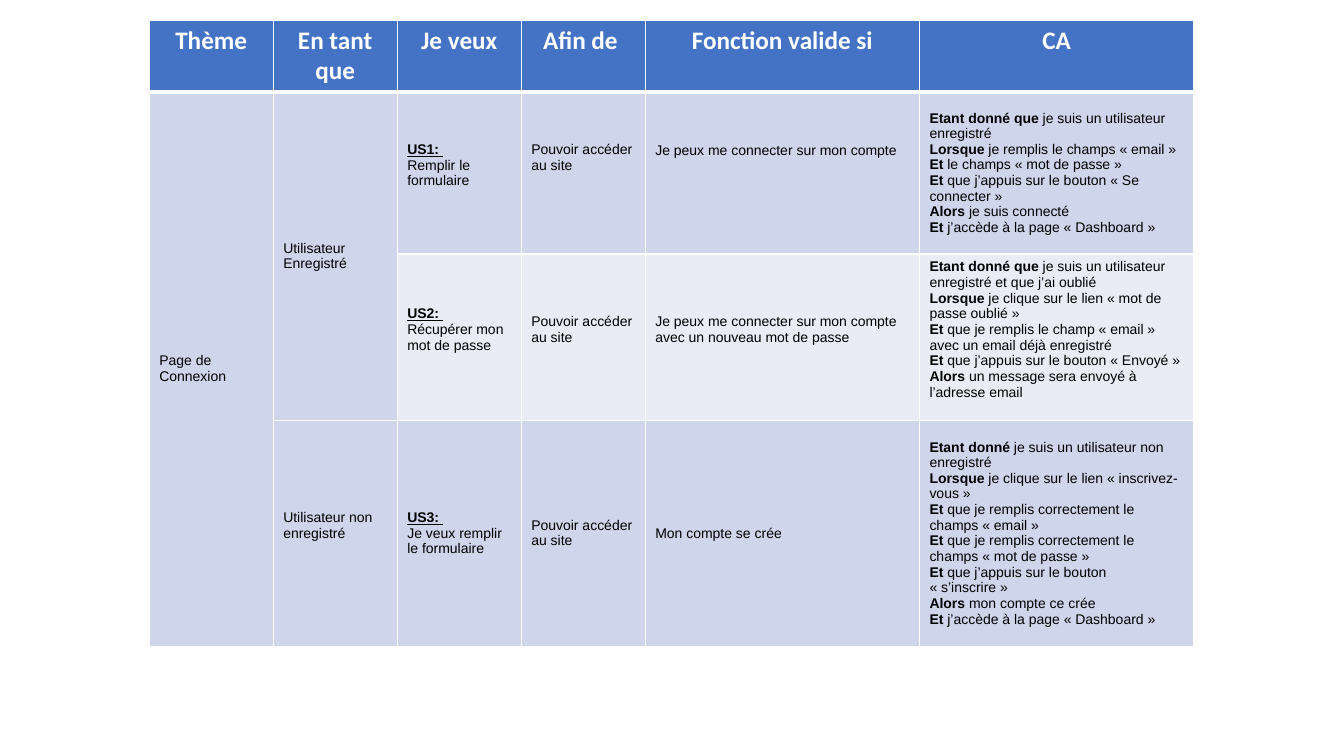
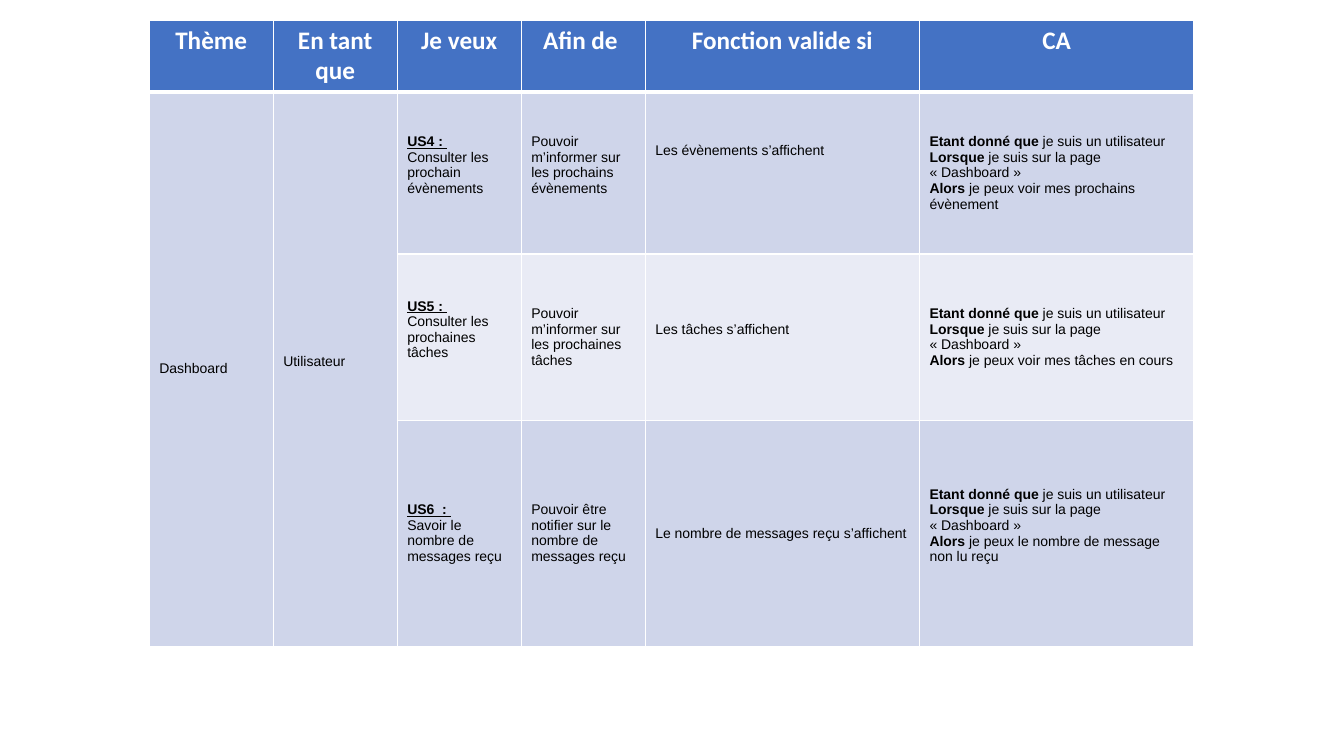
from typing import NamedTuple

from lxml.etree import SubElement
from pptx import Presentation
from pptx.dml.color import RGBColor
from pptx.enum.text import MSO_ANCHOR as Anchor, PP_ALIGN as Align
from pptx.oxml.ns import qn
from pptx.util import Inches, Pt

# Shared look
HEADER_FILL, BANDS, RULE = "4472C4", ("CFD5EA", "E9EBF5"), "FFFFFF"
HEADER_FONT = {"name": "Calibri", "size": Pt(18), "bold": True}
BODY_FONT = {"name": "Arial", "size": Pt(10), "bold": False}
LEAD_FONT = {**BODY_FONT, "bold": True}
STORY_FONT = {**LEAD_FONT, "underline": True}
TABLE_BOX = (1.48, 0.2, 10.37, 6.16)
COLUMN_WIDTHS = (1.23, 1.23, 1.23, 1.23, 2.72, 2.72)
ROW_HEIGHTS = (0.66, 1.61, 1.65, 2.24)
HEADERS = ("Thème", "En tant que", "Je veux", "Afin de ", "Fonction valide si", "CA")
STORY_COLUMN = 2
MARGIN, LINE_HEIGHT = 0.05, 0.15


class Entry(NamedTuple):
    """Cell text: one paragraph a line, with a bold lead before the bar."""
    text: str
    lift: int = 0  # lines kept free under the text
    span: int = 1  # rows covered


# Wording
ACCESS = "Pouvoir accéder au site"
ON_DASHBOARD = "Etant donné que |je suis un utilisateur\nLorsque |je suis sur la page « Dashboard »\n"

LOGIN_ROWS = [
    [Entry("Page de Connexion", span=3),
     Entry("Utilisateur\nEnregistré", span=2),
     Entry("US1: |Remplir le formulaire", 1),
     Entry(ACCESS, 2),
     Entry("Je peux me connecter sur mon compte", 3),
     Entry("Etant donné que |je suis un utilisateur enregistré\n"
           "Lorsque |je remplis le champs « email »\n"
           "Et| le champs « mot de passe »\n"
           "Et |que j’appuis sur le bouton « Se connecter »\n"
           "Alors |je suis connecté \n"
           "Et| j’accède à la page « Dashboard »")],
    [None, None,
     Entry("US2: |Récupérer mon mot de passe", 1),
     Entry(ACCESS, 1),
     Entry("Je peux me connecter sur mon compte avec un nouveau mot de passe", 1),
     Entry("Etant donné que |je suis un utilisateur enregistré et que j’ai oublié\n"
           "Lorsque |je clique sur le lien « mot de passe oublié »\n"
           "Et |que je remplis le champ « email » avec un email déjà enregistré\n"
           "Et |que j’appuis sur le bouton « Envoyé »\n"
           "Alors |un message sera envoyé à l’adresse email", 1)],
    [None,
     Entry("Utilisateur non enregistré", 1),
     Entry("US3: |Je veux remplir le formulaire"),
     Entry(ACCESS),
     Entry("Mon compte se crée"),
     Entry("Etant donné| je suis un utilisateur non enregistré \n"
           "Lorsque |je clique sur le lien « inscrivez-vous »\n"
           "Et| que je remplis correctement le champs « email »\n"
           "Et |que je remplis correctement le champs « mot de passe »\n"
           "Et| que j’appuis sur le bouton « s’inscrire »\n"
           "Alors |mon compte ce crée\n"
           "Et |j’accède à la page « Dashboard »")],
]

DASHBOARD_ROWS = [
    [Entry("Dashboard", span=3),
     Entry("Utilisateur", 1, span=3),
     Entry("US4 : |Consulter les prochain évènements", 1),
     Entry("Pouvoir m’informer sur les prochains évènements", 1),
     Entry("Les évènements s’affichent ", 3),
     Entry(ON_DASHBOARD + "Alors |je peux voir mes prochains évènement")],
    [None, None,
     Entry("US5 : |Consulter les prochaines tâches", 1),
     Entry("Pouvoir m’informer sur les prochaines tâches "),
     Entry("Les tâches s’affichent ", 1),
     Entry(ON_DASHBOARD + "Alors |je peux voir mes tâches en cours")],
    [None, None,
     Entry("US6  : |Savoir le nombre de messages reçu"),
     Entry("Pouvoir être notifier sur le nombre de messages reçu"),
     Entry("Le nombre de messages reçu s’affichent "),
     Entry(ON_DASHBOARD + "Alors |je peux le nombre de message non lu reçu", 1)],
]


def color(value):
    return RGBColor.from_string(value)


def add_span(para, text, style, ink):
    span = para.add_run()
    # Guillemets stay attached to the words they enclose
    span.text = text.replace("« ", "«\u00a0").replace(" »", "\u00a0»")
    for name, value in style.items():
        setattr(span.font, name, value)
    span.font.color.rgb = color(ink)


def paint_cell(cell, fill, top=1, bottom=1):
    """Rules first, then the fill, as the cell format requires."""
    properties = cell._tc.get_or_add_tcPr()
    for side, width in (("L", 1), ("R", 1), ("T", top), ("B", bottom)):
        line = SubElement(properties, qn(f"a:ln{side}"), w=str(Pt(width)))
        solid = SubElement(line, qn("a:solidFill"))
        SubElement(solid, qn("a:srgbClr"), val=RULE)
    cell.fill.solid()
    cell.fill.fore_color.rgb = color(fill)


def fill_header(table):
    for column, title in enumerate(HEADERS):
        cell = table.cell(0, column)
        paint_cell(cell, HEADER_FILL, bottom=3)
        para = cell.text_frame.paragraphs[0]
        para.alignment = Align.CENTER
        add_span(para, title, HEADER_FONT, "FFFFFF")


def fill_entry(cell, entry, is_story):
    cell.vertical_anchor = Anchor.MIDDLE
    cell.margin_bottom = Inches(MARGIN + entry.lift * LINE_HEIGHT)
    frame = cell.text_frame
    for index, line in enumerate(entry.text.split("\n")):
        para = frame.add_paragraph() if index else frame.paragraphs[0]
        lead, bar, rest = line.rpartition("|")
        if bar:
            add_span(para, lead, STORY_FONT if is_story else LEAD_FONT, "000000")
        if is_story:
            para.add_line_break()
            line_break = para._p.find(qn("a:br"))
            SubElement(line_break, qn("a:rPr"), sz="1000")
        add_span(para, rest, BODY_FONT, "000000")


def fill_body(table, rows):
    for row, entries in enumerate(rows, start=1):
        for column, entry in enumerate(entries):
            cell = table.cell(row, column)
            paint_cell(cell, BANDS[(row - 1) % 2], top=3 if row == 1 else 1)
            if entry is None:
                continue
            if entry.span > 1:
                cell.merge(table.cell(row + entry.span - 1, column))
            fill_entry(cell, entry, column == STORY_COLUMN)


def add_story_page(deck, rows, box):
    page = deck.slides.add_slide(deck.slide_layouts[6])
    left, top, width, height = map(Inches, box)
    table = page.shapes.add_table(
        len(ROW_HEIGHTS), len(COLUMN_WIDTHS), left, top, width, height).table
    for column, size in zip(table.columns, COLUMN_WIDTHS):
        column.width = Inches(size)
    for row, size in zip(table.rows, ROW_HEIGHTS):
        row.height = Inches(size)
    fill_header(table)
    fill_body(table, rows)


deck = Presentation()
deck.slide_width, deck.slide_height = Inches(13.33), Inches(7.5)
for story_rows in (LOGIN_ROWS, DASHBOARD_ROWS):
    add_story_page(deck, story_rows, TABLE_BOX)
deck.save("out.pptx")
